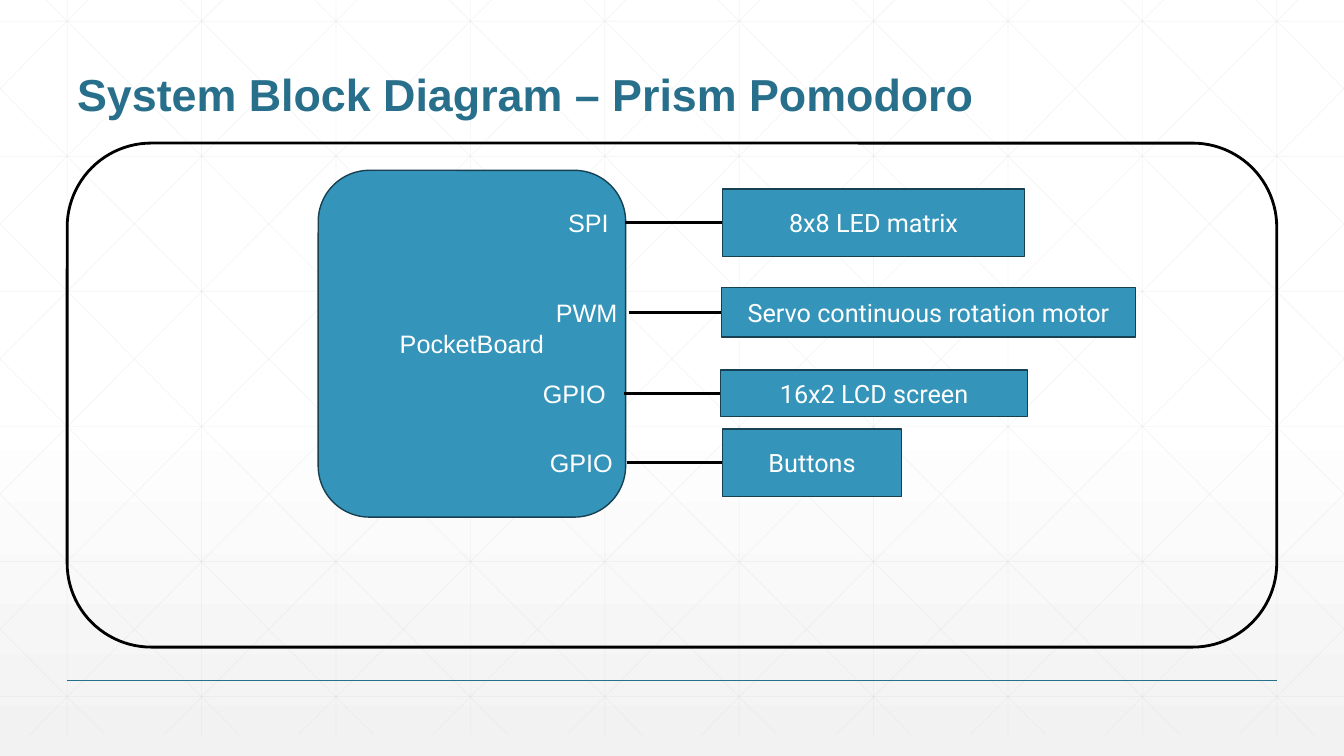
"""Build a system block diagram slide."""
from lxml import etree
from pptx import Presentation
from pptx.dml.color import RGBColor
from pptx.enum.shapes import MSO_CONNECTOR, MSO_SHAPE
from pptx.enum.text import MSO_ANCHOR, MSO_AUTO_SIZE, PP_ALIGN
from pptx.oxml.ns import qn
from pptx.util import Inches, Pt

LINE = MSO_CONNECTOR.STRAIGHT
RECT, ROUND = MSO_SHAPE.RECTANGLE, MSO_SHAPE.ROUNDED_RECTANGLE
MIDDLE, BOTTOM = MSO_ANCHOR.MIDDLE, MSO_ANCHOR.BOTTOM
LEFT, CENTER = PP_ALIGN.LEFT, PP_ALIGN.CENTER
GROW = MSO_AUTO_SIZE.SHAPE_TO_FIT_TEXT

WIDTH, HEIGHT = 13.33, 7.5
MARGIN = WIDTH / 20
PITCH = WIDTH / 10
COLORS = {"paper": "FFFFFF", "haze": "F2F2F2", "mesh": "D9D9D9", "title": "276F8B",
          "block": "3494BA", "edge": "174152", "ink": "000000", "text": "FFFFFF"}
LABEL = {"name": "Arial", "size": Pt(18)}
DEVICE = {"name": "Roboto", "size": Pt(18)}
HEADING = {"name": "Arial", "size": Pt(32), "bold": True}

FRAME = (MARGIN, 1.42, WIDTH - 2 * MARGIN, 5)
FRAME_COLUMNS, FRAME_ROWS = 12, 5
CHIP = (2.49, 0.27, 3.05, 3.44)
LABEL_HEIGHT = 0.4
# Each row: centre, port, label (left, width, align), wire start, device, (left, width, height)
PORTS = [
    (0.79, "SPI", (4.87, 0.65, LEFT), 5.53, "8x8 LED matrix", (6.5, 3, 0.67)),
    (1.68, "PWM", (4.75, 0.82, LEFT), 5.57, "Servo continuous rotation motor", (6.49, 4.11, 0.49)),
    (2.48, "GPIO", (4.62, 0.9, LEFT), 5.52, "16x2 LCD screen", (6.48, 3.05, 0.46)),
    (3.17, "GPIO", (4.65, 0.9, CENTER), 5.55, "Buttons", (6.5, 1.78, 0.67)),
]


def rgb(role):
    """Return the colour that plays a role on the slide."""
    return RGBColor.from_string(COLORS[role])


def draw_line(slide, start, end, role, weight, alpha=None):
    """Draw a straight line, optionally with an opacity in percent."""
    wire = slide.shapes.add_connector(LINE, *(Inches(v) for v in (*start, *end)))
    wire.line.color.rgb = rgb(role)
    wire.line.width = Pt(weight)
    etree.SubElement(wire._element.spPr, qn("a:effectLst"))
    if alpha:
        color = next(wire._element.spPr.iter(qn("a:srgbClr")))
        etree.SubElement(color, qn("a:alpha"), val=str(alpha * 1000))


def write(holder, wording, font, role="text", align=LEFT, **frame_format):
    """Write one formatted paragraph into a shape."""
    for name, value in frame_format.items():
        setattr(holder.text_frame, name, value)
    paragraph = holder.text_frame.paragraphs[0]
    paragraph.alignment = align
    run = paragraph.add_run()
    run.text = wording
    for name, value in font.items():
        setattr(run.font, name, value)
    run.font.color.rgb = rgb(role)
    return paragraph


def add_block(slide, box, kind, edge, weight, fill=None):
    """Add an outlined block, filled if a fill is named."""
    block = slide.shapes.add_shape(kind, *(Inches(v) for v in box))
    block.shadow.inherit = False
    if fill:
        block.fill.solid()
        block.fill.fore_color.rgb = rgb(fill)
    else:
        block.fill.background()
    block.line.color.rgb = rgb(edge)
    block.line.width = Pt(weight)
    return block


def draw_backdrop(slide, box):
    """Shade the background and draw its mesh of straight and slanted lines."""
    left, top, width, height = box
    fill = slide.background.fill
    fill.gradient()
    fill.gradient_angle = 270
    for stop, role, position in zip(fill.gradient_stops, ("paper", "haze"), (0.53, 1)):
        stop.color.rgb = rgb(role)
        stop.position = position
    origin, bottom, slope = top - 0.21, top + height - 0.21, 1.006
    segments = []
    for column in range(10):
        x = left + MARGIN + column * PITCH
        segments.append(((x, top), (x, bottom)))
    for row in range(6):
        y = top + 0.21 + row * 1.34
        segments.append(((left, y), (left + width, y)))
    for step in range(-5, 10):
        shift = 0.25 + step * PITCH
        first = max(top, origin - shift * slope)
        last = min(bottom, origin + (width - shift) * slope)
        ends = [(shift + (y - origin) / slope, y) for y in (first, last)]
        segments.append([(left + x, y) for x, y in ends])
        segments.append([(left + width - x, y) for x, y in ends])
    for start, end in segments:
        draw_line(slide, start, end, "mesh", 0.5, 25)
    rule = top + height * 0.9
    draw_line(slide, (left + MARGIN, rule), (left + width - MARGIN, rule), "title", 1)


def add_title(slide, box):
    """Add the slide title at the bottom of its box."""
    title = slide.shapes.add_textbox(*(Inches(v) for v in box))
    paragraph = write(title, "System Block Diagram – Prism Pomodoro", HEADING, "title",
                      vertical_anchor=BOTTOM, word_wrap=True)
    paragraph.line_spacing = 0.9


def draw_diagram(slide, box):
    """Draw the frame, the controller and its ports wired to devices."""
    left, top, width, height = box
    column, row = width / FRAME_COLUMNS, height / FRAME_ROWS

    def place(x, y, w, h):
        """Turn frame columns and rows into a box on the slide."""
        return left + x * column, top + y * row, w * column, h * row

    add_block(slide, box, ROUND, "ink", 2)
    chip = add_block(slide, place(*CHIP), ROUND, "edge", 1, "block")
    write(chip, "PocketBoard", LABEL, align=CENTER, vertical_anchor=MIDDLE)
    for centre, port, (label_x, label_w, align), wire_x, device, (x, w, h) in PORTS:
        label_box = place(label_x, centre - LABEL_HEIGHT / 2, label_w, LABEL_HEIGHT)
        label = slide.shapes.add_textbox(*(Inches(v) for v in label_box))
        write(label, port, LABEL, align=align, word_wrap=True, auto_size=GROW)
        target = add_block(slide, place(x, centre - h / 2, w, h), RECT, "edge", 1, "block")
        write(target, device, DEVICE, align=CENTER, vertical_anchor=MIDDLE)
        start, end = (place(end_x, centre, 0, 0)[:2] for end_x in (wire_x, x))
        draw_line(slide, start, end, "ink", 2.25)


def main():
    """Build and save the presentation."""
    deck = Presentation()
    deck.slide_width, deck.slide_height = Inches(WIDTH), Inches(HEIGHT)
    slide = deck.slides.add_slide(deck.slide_layouts[6])
    draw_backdrop(slide, (0, 0, WIDTH, HEIGHT))
    add_title(slide, (MARGIN, 0.25, WIDTH - 2 * MARGIN, 1))
    draw_diagram(slide, FRAME)
    deck.save("out.pptx")


if __name__ == "__main__":
    main()
